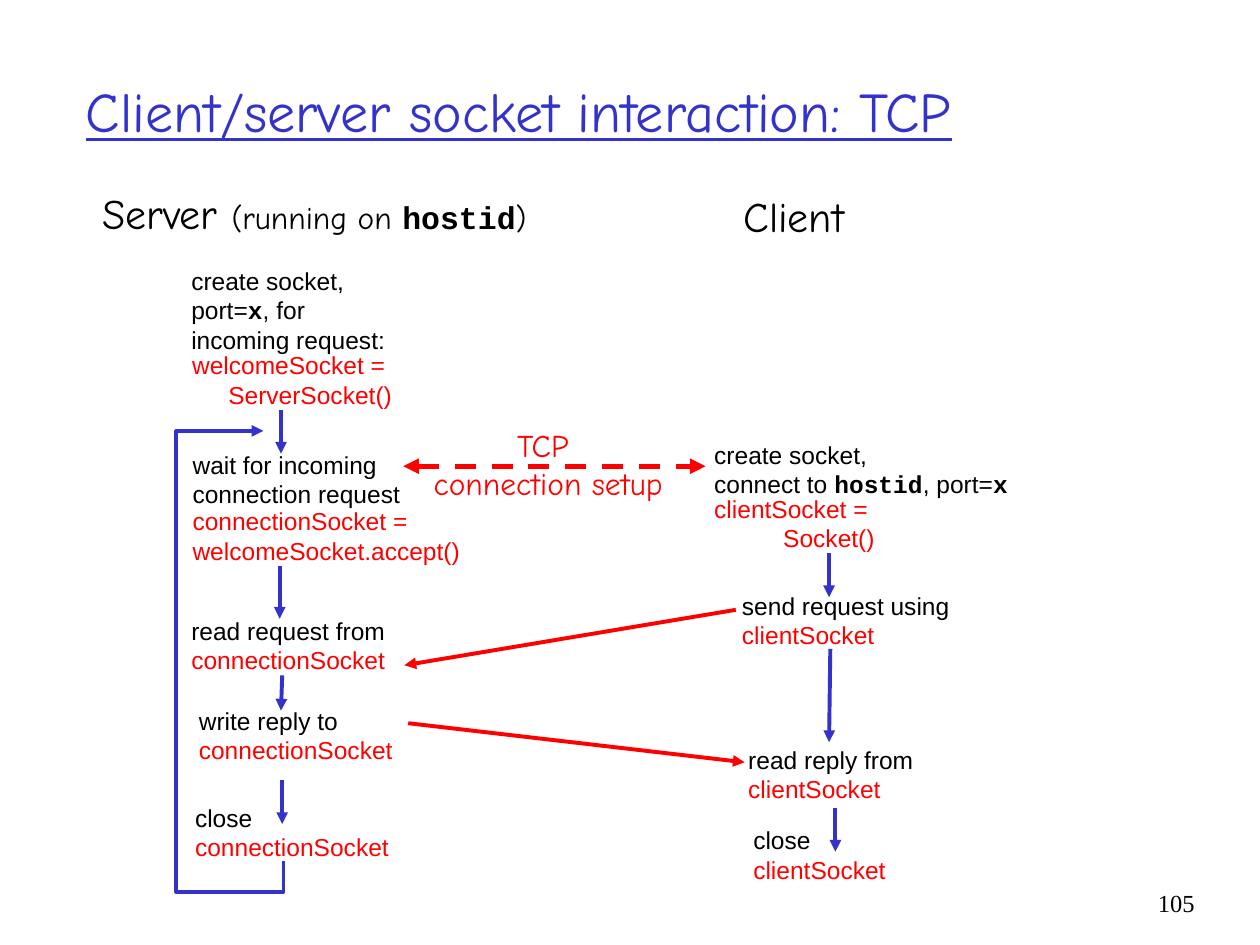
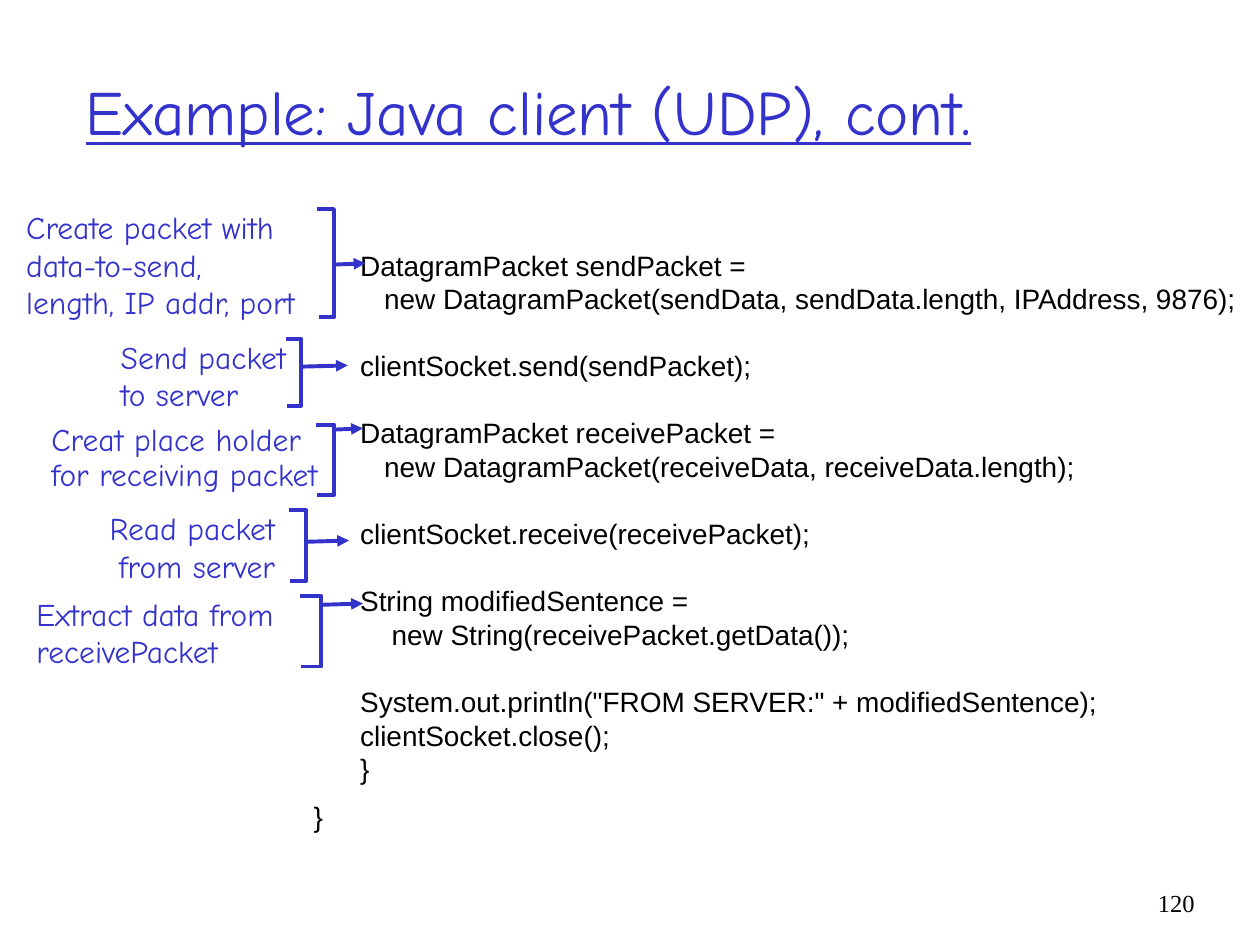
"""Build two slides on socket programming: a TCP flow and a UDP client."""
from lxml import etree
from pptx import Presentation
from pptx.dml.color import RGBColor
from pptx.enum.dml import MSO_LINE
from pptx.enum.shapes import MSO_CONNECTOR
from pptx.enum.text import MSO_ANCHOR, MSO_AUTO_SIZE, PP_ALIGN
from pptx.oxml.ns import qn
from pptx.util import Inches, Pt

BLUE = RGBColor(0x33, 0x33, 0xCC)
RED = RGBColor(0xFF, 0, 0)
BLACK = RGBColor(0, 0, 0)
LEFT, RIGHT, MID = PP_ALIGN.LEFT, PP_ALIGN.RIGHT, PP_ALIGN.CENTER
DASH = MSO_LINE.DASH
STRAIGHT = MSO_CONNECTOR.STRAIGHT
CENTRE, FIXED = MSO_ANCHOR.MIDDLE, MSO_AUTO_SIZE.NONE
HAND, SANS, SERIF = "Comic Neue", "Arial", "Times New Roman"
LEAD = 1.2
INSET = 0.05

MONO = {"name": "Courier New", "bold": True}
SMALL = {"size": Pt(18)}

HEADS = [
    (0.71, 1.44, 3.57, [[("Server ", {}), ("(running on ", SMALL),
                         ("hostid", MONO | SMALL), (")", SMALL)]]),
    (5.8, 1.46, 1, ["Client"]),
]
STEPS = [
    (1.42, 2.06, 1.8, LEFT,
     ["create socket,", [("port=", {}), ("x", MONO), (", for", {})],
      "incoming request:"], []),
    (1.42, 2.73, 1.79, RIGHT, [], ["welcomeSocket = ", "ServerSocket()"]),
    (1.43, 3.52, 1.95, LEFT, ["wait for incoming", "connection request"], []),
    (1.43, 3.97, 2.5, LEFT, [],
     ["connectionSocket =", "welcomeSocket.accept()"]),
    (1.42, 4.84, 1.8, LEFT, ["read request from"], ["connectionSocket"]),
    (1.48, 5.55, 1.8, LEFT, ["write reply to"], ["connectionSocket"]),
    (1.45, 6.32, 1.8, LEFT, ["close"], ["connectionSocket"]),
    (5.57, 3.44, 2.7, LEFT,
     ["create socket,", [("connect to ", {}), ("hostid", MONO),
                         (", port=", {}), ("x", MONO)]], []),
    (5.42, 3.87, 1.62, RIGHT, [], ["clientSocket = ", "Socket()"]),
    (5.79, 4.64, 1.95, LEFT, ["send request using"], ["clientSocket"]),
    (5.84, 5.86, 1.6, LEFT, ["read reply from"], ["clientSocket"]),
    (5.88, 6.5, 1.35, LEFT, ["close"], ["clientSocket"]),
]
FLOWS = [
    (2.23, 3.25, 2.23, 3.6), (2.22, 4.49, 2.22, 4.91),
    (2.24, 5.36, 2.23, 5.64), (2.24, 6.19, 2.24, 6.54),
    (6.58, 4.39, 6.58, 4.74), (6.59, 5.15, 6.58, 5.89),
    (6.63, 6.41, 6.63, 6.76),
]
SENDS = [(5.84, 4.84, 3.21, 5.28), (3.24, 5.74, 5.91, 6.05)]
LOOP = [(2.25, 6.83), (2.25, 7.08), (1.4, 7.08), (1.4, 3.42), (2.09, 3.42)]

CODE = [
    (0.37, 0, "DatagramPacket sendPacket ="),
    (0.56, 0, "new DatagramPacket(sendData, sendData.length, IPAddress, 9876);"),
    (0.37, 1, "clientSocket.send(sendPacket);"),
    (0.37, 1, "DatagramPacket receivePacket ="),
    (0.56, 0, "new DatagramPacket(receiveData, receiveData.length);"),
    (0.37, 1, "clientSocket.receive(receivePacket);"),
    (0.37, 1, "String modifiedSentence ="),
    (0.62, 0, "new String(receivePacket.getData());"),
    (0.37, 1, 'System.out.println("FROM SERVER:" + modifiedSentence);'),
    (0.37, 0, "clientSocket.close();"),
    (0.37, 0, "}"),
    (0, 0.42, "}"),
]
NOTES = [
    (0.11, 1.6, 2.62, LEFT,
     ["Create packet with", "data-to-send,", "length, IP addr, port"]),
    (0.86, 2.63, 1.6, LEFT, ["Send packet", "to server"]),
    (0.31, 3.37, 2.4, LEFT, ["Creat place holder", "for receiving packet"]),
    (0.66, 3.99, 1.62, RIGHT, ["Read packet", "from server"]),
    (0.19, 4.67, 2.39, LEFT, ["Extract data from", "receivePacket"]),
]
TIGHT = 2
BRACES = [
    (2.52, 1.66, 2.65, 2.52, 2.1, 2.9),
    (2.27, 2.69, 2.39, 3.22, 2.91, 2.76),
    (2.51, 3.37, 2.65, 3.93, 3.41, 2.88),
    (2.29, 4.05, 2.43, 4.61, 4.3, 2.77),
    (2.38, 4.73, 2.55, 5.29, 4.8, 2.88),
]


def style(para, face, size, color, align=LEFT):
    """Set the font and alignment of a paragraph."""
    font = para.font
    font.name, font.size = face, Pt(size)
    font.color.rgb = color
    para.alignment = align


def write(slide, x, y, w, lines, face, size, align=LEFT):
    """Add a text box of (line, colour) pairs and return its paragraphs."""
    high = 2 * INSET + len(lines) * size * LEAD / 72
    box = slide.shapes.add_textbox(*map(Inches, (x, y, w, high)))
    frame = box.text_frame
    frame.word_wrap = True
    for i, (line, color) in enumerate(lines):
        para = frame.paragraphs[0] if i == 0 else frame.add_paragraph()
        style(para, face, size, color, align)
        para.line_spacing = Pt(size * LEAD)
        for text, looks in [(line, {})] if isinstance(line, str) else line:
            run = para.add_run()
            run.text = text
            for name, value in looks.items():
                setattr(run.font, name, value)
    return frame.paragraphs


def stroke(shape, color, width=2.25, ends=("tailEnd",)):
    """Colour an outline and add its arrowheads."""
    shape.line.color.rgb = color
    shape.line.width = Pt(width)
    for end in ends:
        etree.SubElement(shape.line._get_or_add_ln(), qn("a:" + end),
                         type="triangle")


def arrow(slide, ends, color, width=2.25, dash=None,
          heads=("tailEnd",)):
    """Draw a straight arrow."""
    link = slide.shapes.add_connector(STRAIGHT, *map(Inches, ends))
    if dash:
        link.line.dash_style = dash
    stroke(link, color, width, heads)
    etree.SubElement(link._element.spPr, qn("a:effectLst"))


def trace(slide, points, ends=()):
    """Draw an open blue path through the points."""
    spots = [(Inches(x), Inches(y)) for x, y in points]
    pen = slide.shapes.build_freeform(*spots[0])
    pen.add_line_segments(spots[1:], close=False)
    shape = pen.convert_to_shape()
    shape.fill.background()
    shape.shadow.inherit = False
    stroke(shape, BLUE, ends=ends)


def start(deck, title, size, number):
    """Add a slide with its title and page number."""
    slide = deck.slides.add_slide(deck.slide_layouts[5])
    head = slide.shapes.title
    head.left, head.top, head.width, head.height = map(
        Inches, (0.58, 0.25, 8.5, 1.25))
    frame = head.text_frame
    frame.text = title
    frame.auto_size = FIXED
    frame.vertical_anchor = CENTRE
    para = frame.paragraphs[0]
    style(para, HAND, size, BLUE)
    para.font.underline = True
    write(slide, 9.08, 7, 0.5, [(number, BLACK)], SERIF, 14, RIGHT)
    return slide


def tcp(deck):
    """Draw the exchange between server and client."""
    slide = start(deck, "Client/server socket interaction: TCP", 32, "105")
    for x, y, w, lines in HEADS:
        write(slide, x, y, w, [(t, BLACK) for t in lines], HAND, 24, MID)
    for x, y, w, align, plain, calls in STEPS:
        lines = [(t, BLACK) for t in plain] + [(t, RED) for t in calls]
        write(slide, x, y, w, lines, SANS, 14, align)
    for ends in FLOWS:
        arrow(slide, ends, BLUE)
    for ends in SENDS:
        arrow(slide, ends, RED)
    trace(slide, LOOP, ("tailEnd",))
    arrow(slide, (3.2, 3.7, 5.6, 3.7), RED, 3, DASH, ("headEnd", "tailEnd"))
    write(slide, 3.34, 3.33, 2.02, [("TCP ", RED), ("connection setup", RED)],
          HAND, 18, MID)


def udp(deck):
    """Show the client code with its notes."""
    slide = start(deck, "Example: Java client (UDP), cont.", 36, "120")
    size = 16
    lines = [(text, BLACK) for _, _, text in CODE]
    paras = write(slide, 2.39, 1.92, 7.59, lines, SANS, size)
    for para, (indent, gap, _) in zip(paras, CODE):
        para.space_before = Pt(gap * size * LEAD)
        para._p.get_or_add_pPr().set("marL", str(Inches(indent)))
    for i, (x, y, w, align, text) in enumerate(NOTES):
        paras = write(slide, x, y, w, [(t, BLUE) for t in text],
                      HAND, 18, align)
        if i == TIGHT:
            for para in paras:
                para.line_spacing, para.space_before = 0.7, Pt(4.5)
    for x, top, right, low, y, tip in BRACES:
        trace(slide, [(x, top), (right, top), (right, low), (x + 0.01, low)])
        arrow(slide, (right, y, tip, y - 0.01), BLUE)


def main():
    """Build and save the deck."""
    deck = Presentation()
    deck.slide_width, deck.slide_height = Inches(10), Inches(7.5)
    tcp(deck)
    udp(deck)
    deck.save("out.pptx")


if __name__ == "__main__":
    main()
